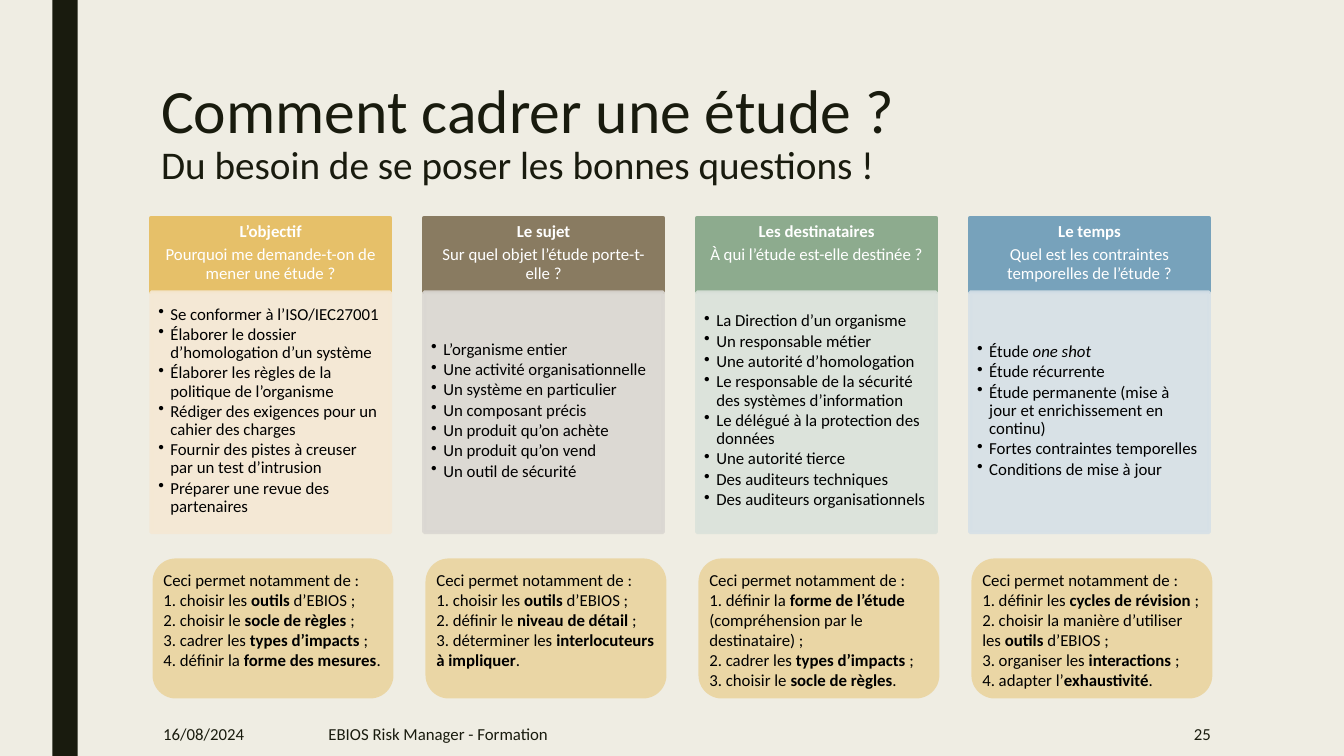
from typing import NamedTuple

from lxml import etree
from pptx import Presentation, util as u
from pptx.dml.color import RGBColor
from pptx.enum import shapes, text
from pptx.oxml.ns import qn

WIDE, HIGH = u.Inches(13.333), u.Inches(7.5)
FONT = "Calibri"
HEX = {
    "paper": "EFEDE3", "ink": "191B0E", "black": "000000", "white": "FFFFFF",
    "gold": "E6C069", "cream": "F5E8D4", "brown": "897B61", "stone": "DAD7D2",
    "green": "8DAB8E", "mint": "DBE2DB", "blue": "77A2BB", "sky": "D6E0E7",
}


class Box(NamedTuple):
    """Left, top, width and height in percent of the slide."""
    x: float
    y: float
    w: float
    h: float

    def emu(self) -> tuple:
        return tuple(int(share * full / 100)
                     for share, full in zip(self, (WIDE, HIGH, WIDE, HIGH)))


class Style(NamedTuple):
    """Insets are in inches (left, top, right, bottom), sizes in points."""
    color: str
    inset: tuple = (0.1, 0.05, 0.1, 0.05)
    anchor: text.MSO_ANCHOR = text.MSO_ANCHOR.TOP
    align: text.PP_ALIGN = text.PP_ALIGN.LEFT
    line: float = 1.0
    after: float = 0
    accent: str = "bold"


class Card(NamedTuple):
    dark: str
    pale: str
    name: str
    ask: str
    items: list
    gains: list


PITCH, LEFT = 20.31, 11.25
HEAD = Box(LEFT, 28.8, 17.78, 9.87)
LIST = Box(LEFT, 38.67, 17.78, 31.73)
NOTE = Box(LEFT + 0.1, 73.87, 17.93, 18.53)

MID = text.MSO_ANCHOR.MIDDLE
HEAD_TEXT = Style("white", (0.09, 0.05, 0.09, 0.05),
                  align=text.PP_ALIGN.CENTER, line=0.9, after=4)
LIST_TEXT = Style("black", (0.07, 0.07, 0.09, 0.1), MID,
                  line=0.9, after=1.6, accent="italic")
NOTE_TEXT = Style("black", (0.04, 0.04, 0.04, 0.04))

# Asterisks enclose the words that take the accent of the style.
CARDS = [
    Card("gold", "cream", "L’objectif",
         "Pourquoi me demande-t-on de mener une étude ?",
         ["Se conformer à l’ISO/IEC27001",
          "Élaborer le dossier d’homologation d’un système",
          "Élaborer les règles de la politique de l’organisme",
          "Rédiger des exigences pour un cahier des charges",
          "Fournir des pistes à creuser par un test d’intrusion",
          "Préparer une revue des partenaires"],
         ["choisir les *outils* d’EBIOS ;", "choisir le *socle de règles* ;",
          "cadrer les *types d’impacts* ;", "définir la *forme des mesures*."]),
    Card("brown", "stone", "Le sujet", "Sur quel objet l’étude porte-t-elle ?",
         ["L’organisme entier", "Une activité organisationnelle",
          "Un système en particulier", "Un composant précis",
          "Un produit qu’on achète", "Un produit qu’on vend",
          "Un outil de sécurité"],
         ["choisir les *outils* d’EBIOS ;", "définir le *niveau de détail* ;",
          "déterminer les *interlocuteurs à impliquer*."]),
    Card("green", "mint", "Les destinataires",
         "À qui l’étude est-elle destinée ?",
         ["La Direction d’un organisme", "Un responsable métier",
          "Une autorité d’homologation",
          "Le responsable de la sécurité des systèmes d’information",
          "Le délégué à la protection des données", "Une autorité tierce",
          "Des auditeurs techniques", "Des auditeurs organisationnels"],
         ["définir la *forme de l’étude* (compréhension par le destinataire) ;",
          "cadrer les *types d’impacts* ;", "choisir le *socle de règles*."]),
    Card("blue", "sky", "Le temps",
         "Quel est les contraintes temporelles de l’étude ?",
         ["Étude *one shot*", "Étude récurrente",
          "Étude permanente (mise à jour et enrichissement en continu)",
          "Fortes contraintes temporelles", "Conditions de mise à jour"],
         ["définir les *cycles de révision* ;",
          "choisir la manière d’utiliser les *outils* d’EBIOS ;",
          "organiser les *interactions* ;", "adapter l’*exhaustivité*."]),
]


def rgb(name: str) -> RGBColor:
    return RGBColor.from_string(HEX[name])


def fade(fill, alpha: int) -> None:
    """Make a solid fill, of a shape or a line, partly transparent."""
    for tint in fill.iter(qn("a:srgbClr")):
        etree.SubElement(tint, qn("a:alpha")).set("val", str(alpha * 1000))


def add_run(para, words: str, color: str, size: float = 12):
    run = para.add_run()
    run.text = words
    run.font.name, run.font.size = FONT, u.Pt(size)
    run.font.color.rgb = rgb(color)
    return run


def set_frame(shape, style: Style):
    frame = shape.text_frame
    frame.word_wrap = True
    frame.vertical_anchor = style.anchor
    (frame.margin_left, frame.margin_top,
     frame.margin_right, frame.margin_bottom) = map(u.Inches, style.inset)
    return frame


def set_mark(para, tag: str, key: str, value: str, indent: float = 0) -> None:
    """Give the paragraph a bullet or an automatic number."""
    props = para._p.get_or_add_pPr()
    props.set("marL", str(u.Inches(indent)))
    props.set("indent", str(-u.Inches(indent)))
    etree.SubElement(props, qn(tag)).set(key, value)


def write(shape, lines: list, style: Style) -> list:
    frame = set_frame(shape, style)
    paras = []
    for n, line in enumerate(lines):
        para = frame.add_paragraph() if n else frame.paragraphs[0]
        para.alignment, para.line_spacing = style.align, style.line
        para.space_after = u.Pt(style.after)
        for k, words in enumerate(line.split("*")):
            if words:
                run = add_run(para, words, style.color)
                setattr(run.font, style.accent, k % 2 == 1)
        paras.append(para)
    return paras


def add_block(slide, box: Box, color: str, kind=shapes.MSO_SHAPE.RECTANGLE,
              edge: bool = False, alpha: int = 100):
    block = slide.shapes.add_shape(kind, *box.emu())
    block.shadow.inherit = False
    block.fill.solid()
    block.fill.fore_color.rgb = rgb(color)
    if edge:
        block.line.color.rgb = rgb(color)
        block.line.width = u.Pt(2.75)
    else:
        block.line.fill.background()
    if alpha < 100:
        fade(block._element.spPr, alpha)
    return block


def add_card(slide, card: Card, col: int) -> None:
    head, body, note = (box._replace(x=box.x + col * PITCH)
                        for box in (HEAD, LIST, NOTE))
    write(add_block(slide, head, card.dark, edge=True),
          [f"*{card.name}*", card.ask], HEAD_TEXT)
    panel = add_block(slide, body, card.pale, edge=True, alpha=90)
    for para in write(panel, card.items, LIST_TEXT):
        set_mark(para, "a:buChar", "char", "•", 0.12)
    pill = add_block(slide, note, "gold", alpha=50,
                     kind=shapes.MSO_SHAPE.FLOWCHART_ALTERNATE_PROCESS)
    gains = [" " + gain for gain in card.gains]
    for para in write(pill, ["Ceci permet notamment de :", *gains], NOTE_TEXT)[1:]:
        set_mark(para, "a:buAutoNum", "type", "arabicPeriod")


def add_title(slide) -> None:
    box = slide.shapes.add_textbox(*Box(LEFT, 10, 78.75, 21.6).emu())
    para = set_frame(box, Style("ink")).paragraphs[0]
    para.line_spacing = 0.89
    add_run(para, "Comment cadrer une étude ?", "ink", 44)
    para.add_line_break()
    add_run(para, "Du besoin de se poser les bonnes questions !", "ink", 28)


def add_foot(slide) -> None:
    left, right = text.PP_ALIGN.LEFT, text.PP_ALIGN.RIGHT
    for x, w, words, align in [
            (11.4, 9.9, "16/08/2024", left),
            (23.7, 51.53, "EBIOS Risk Manager - Formation", left),
            (77.7, 13.13, "25", right)]:
        box = slide.shapes.add_textbox(*Box(x, 94.13, w, 5.87).emu())
        write(box, [words], Style("ink", anchor=MID, align=align))


def main() -> None:
    deck = Presentation()
    deck.slide_width, deck.slide_height = WIDE, HIGH
    slide = deck.slides.add_slide(deck.slide_layouts[6])
    slide.background.fill.solid()
    slide.background.fill.fore_color.rgb = rgb("paper")
    add_block(slide, Box(3.9, 0, 1.88, 100), "ink")
    add_title(slide)
    add_foot(slide)
    for col, card in enumerate(CARDS):
        add_card(slide, card, col)
    deck.save("out.pptx")


if __name__ == "__main__":
    main()
